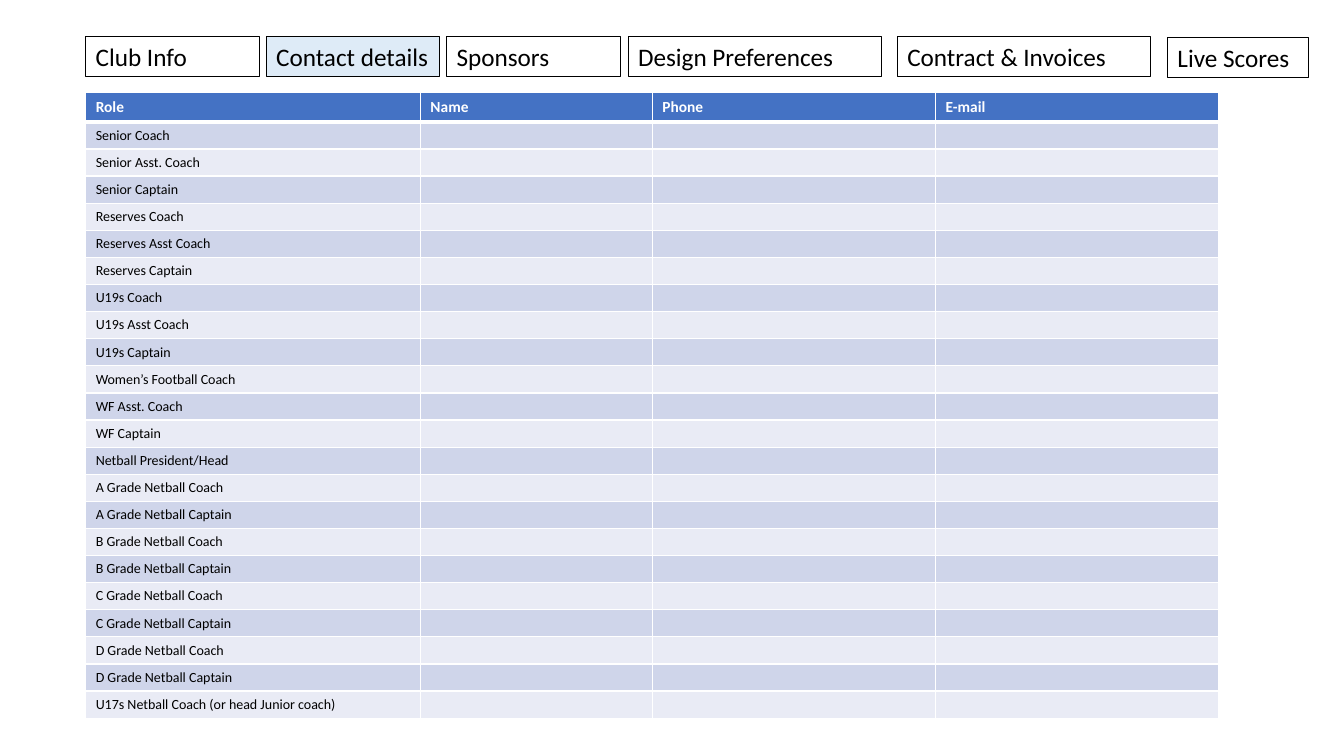
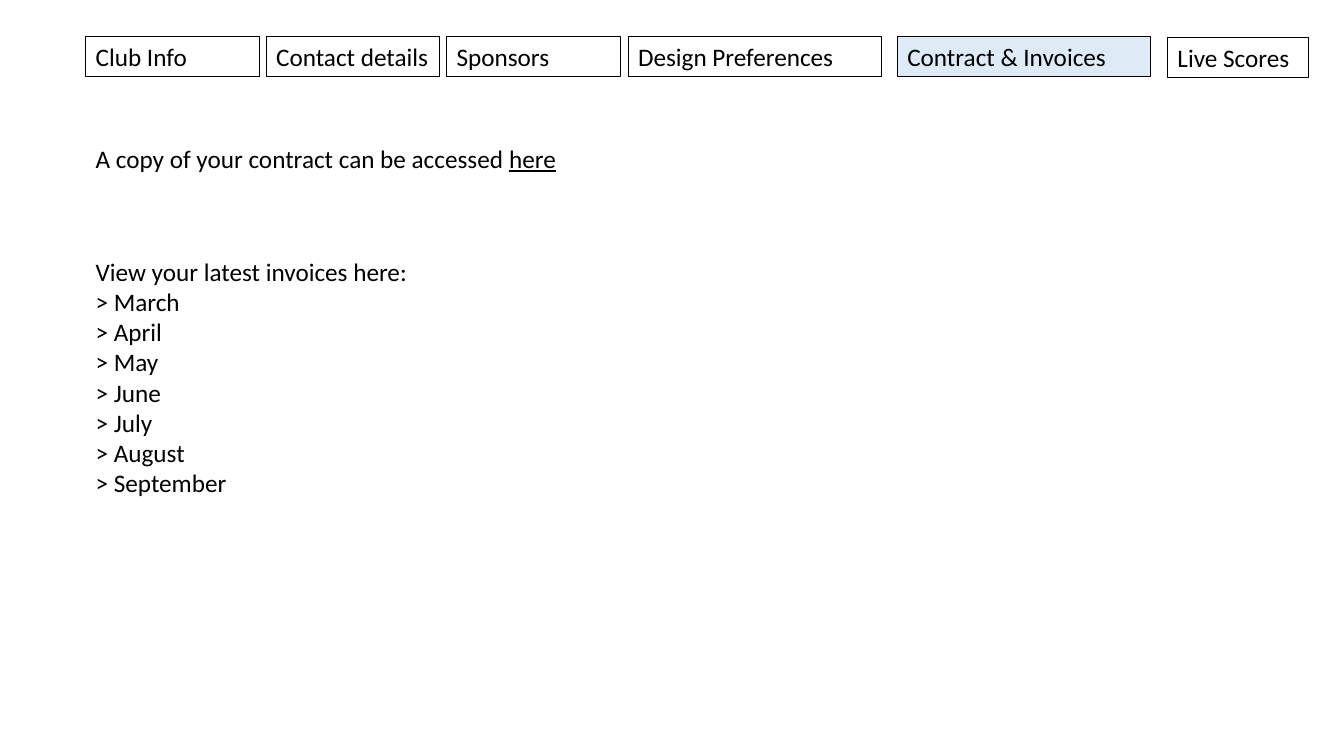
from lxml.etree import SubElement
from pptx import Presentation
from pptx.dml.color import RGBColor
from pptx.enum.shapes import MSO_SHAPE as Shape
from pptx.enum.text import MSO_ANCHOR as Anchor, PP_ALIGN as Align
from pptx.oxml.ns import qn
from pptx.util import Pt

SCALE = 9144
FONT = "Calibri"
BLACK, WHITE, BLUE, PALE = "000000", "FFFFFF", "4472C4", "DEEBF7"
BANDS = ("CFD5EA", "E9EBF5")
MARGIN = 85
TABS = [
    ("Club Info", 0, 0, 172),
    ("Contact details", 179, 0, 172),
    ("Sponsors", 358, 0, 172),
    ("Design Preferences", 538, 0, 251),
    ("Contract & Invoices", 805, 0, 251),
    ("Live Scores", 1073, 1, 140),
]
HEADS = ["Role", "Name", "Phone", "E-mail"]
WIDTHS = [332, 230, 281, 281]
ROLES = [
    "Senior Coach", "Senior Asst. Coach", "Senior Captain",
    "Reserves Coach", "Reserves Asst Coach", "Reserves Captain",
    "U19s Coach", "U19s Asst Coach", "U19s Captain",
    "Women’s Football Coach", "WF Asst. Coach", "WF Captain",
    "Netball President/Head",
    *[f"{grade} Grade Netball {post}" for grade in "ABCD" for post in ("Coach", "Captain")],
    "U17s Netball Coach (or head Junior coach)",
]
MONTHS = ["March", "April", "May", "June", "July", "August", "September"]


def px(*sizes):
    """Turn px lengths into EMU."""
    return [size * SCALE for size in sizes]


def paint(part, color):
    """Give a fill or font colour from a hex string."""
    part.rgb = RGBColor.from_string(color)


def style(frame, size=18, color=BLACK, bold=False):
    """Format every run of a text frame."""
    for para in frame.paragraphs:
        para.alignment = Align.LEFT
        for run in para.runs:
            run.font.name, run.font.size, run.font.bold = FONT, Pt(size), bold
            paint(run.font.color, color)


def tabs(slide, left, top, active):
    """Draw the row of tabs with the active one tinted."""
    for label, dx, dy, width in TABS:
        box = slide.shapes.add_shape(
            Shape.RECTANGLE, *px(left + dx, top + dy, width, 40))
        box.shadow.inherit = False
        if label == active:
            box.fill.solid()
            paint(box.fill.fore_color, PALE)
        else:
            box.fill.background()
        paint(box.line.color, BLACK)
        box.line.width = Pt(0.75)
        frame = box.text_frame
        frame.word_wrap, frame.vertical_anchor = True, Anchor.TOP
        frame.text = label
        style(frame)


def edge(cell, row):
    """Rule a cell in white, thicker below the header."""
    props = cell._tc.get_or_add_tcPr()
    for side in "LRTB":
        thick = (row, side) in ((0, "B"), (1, "T"))
        line = SubElement(props, qn(f"a:ln{side}"), w=str(Pt(3 if thick else 1)))
        fill = SubElement(line, qn("a:solidFill"))
        SubElement(fill, qn("a:srgbClr"), val=WHITE)


def grid(slide, left, top, height):
    """Draw the contact table."""
    rows = [HEADS] + [[role, "", "", ""] for role in ROLES]
    table = slide.shapes.add_table(
        len(rows), len(HEADS), *px(left, top, sum(WIDTHS), height * len(rows))).table
    for col, width in zip(table.columns, px(*WIDTHS)):
        col.width = width
    for i, row in enumerate(rows):
        for j, text in enumerate(row):
            cell = table.cell(i, j)
            edge(cell, i)
            cell.fill.solid()
            paint(cell.fill.fore_color, BANDS[(i - 1) % 2] if i else BLUE)
            frame = cell.text_frame
            if text:
                frame.text = text
                style(frame, *((10, BLACK) if i else (11, WHITE, True)))
            else:
                SubElement(frame.paragraphs[0]._p, qn("a:endParaRPr"), sz="1000")


def note(slide, left, top, height, lines):
    """Place lines of plain text and return the frame."""
    box = slide.shapes.add_textbox(*px(left, top, 504, height))
    frame = box.text_frame
    frame.word_wrap = True
    frame.text = "\n".join(lines)
    style(frame)
    return frame


def contacts(slide):
    """Build the contact details slide."""
    grid(slide, MARGIN, 92, 25)
    tabs(slide, MARGIN, 36, "Contact details")


def contract(slide):
    """Build the contract and invoices slide."""
    tabs(slide, MARGIN, 36, "Contract & Invoices")
    frame = note(slide, MARGIN, 137, 40, ["A copy of your contract can be accessed "])
    link = frame.paragraphs[0].add_run()
    link.text = "here"
    style(frame)
    link.font.underline = True
    note(slide, MARGIN, 249, 252,
         ["View your latest invoices here:"] + [f"> {month}" for month in MONTHS])


def main():
    """Build and save the deck."""
    deck = Presentation()
    deck.slide_width, deck.slide_height = px(1333, 750)
    for build in (contacts, contract):
        build(deck.slides.add_slide(deck.slide_layouts[6]))
    deck.save("out.pptx")


if __name__ == "__main__":
    main()
